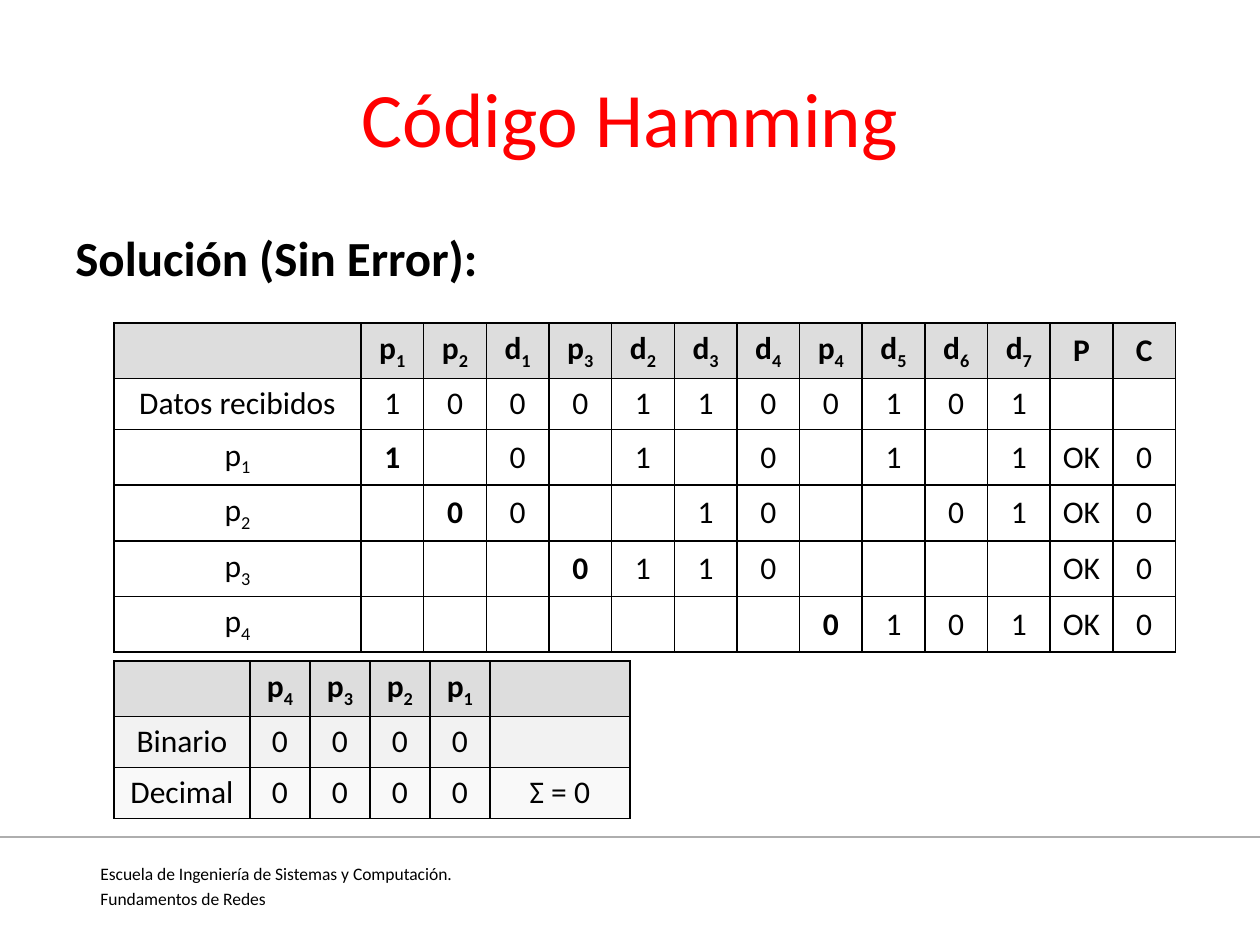
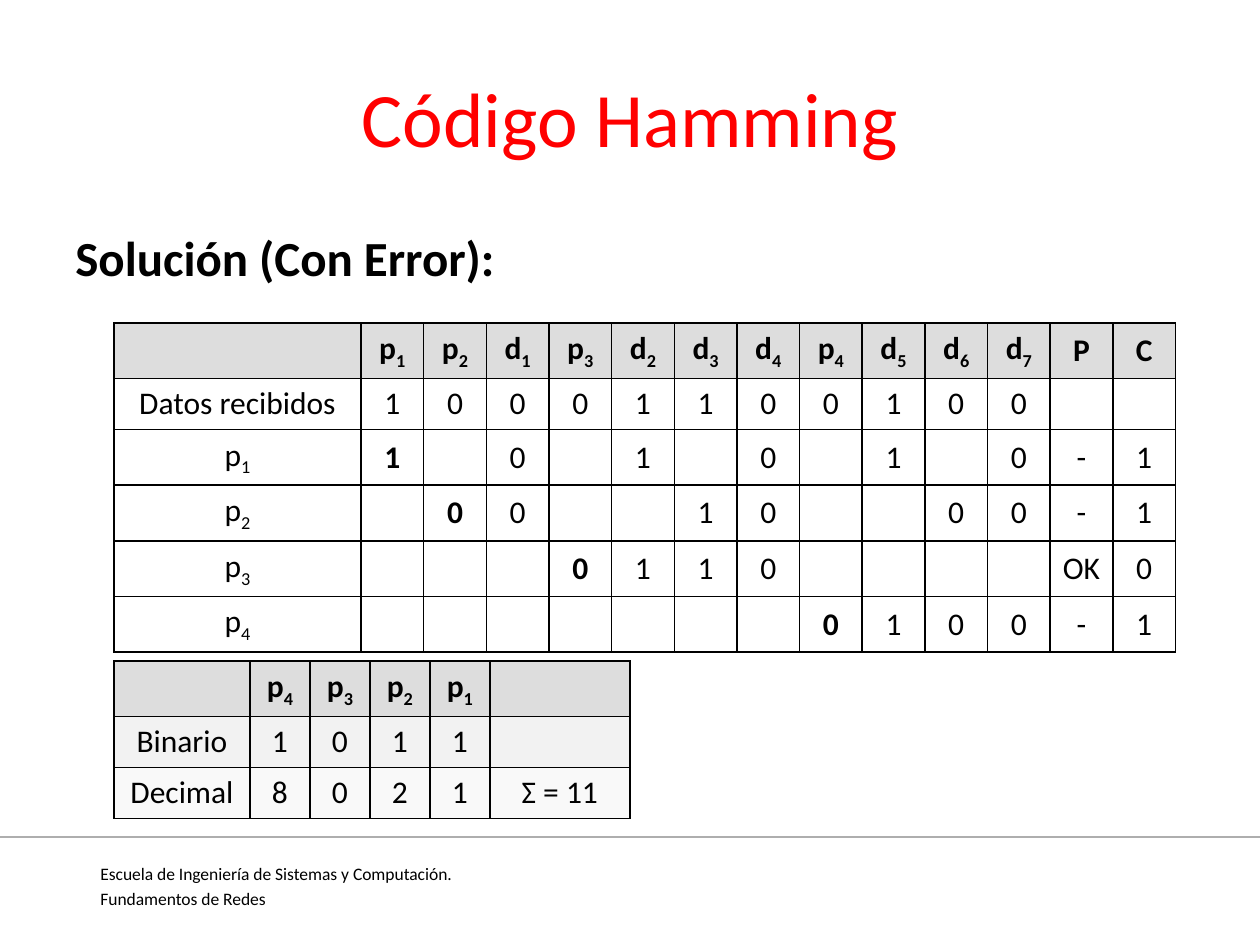
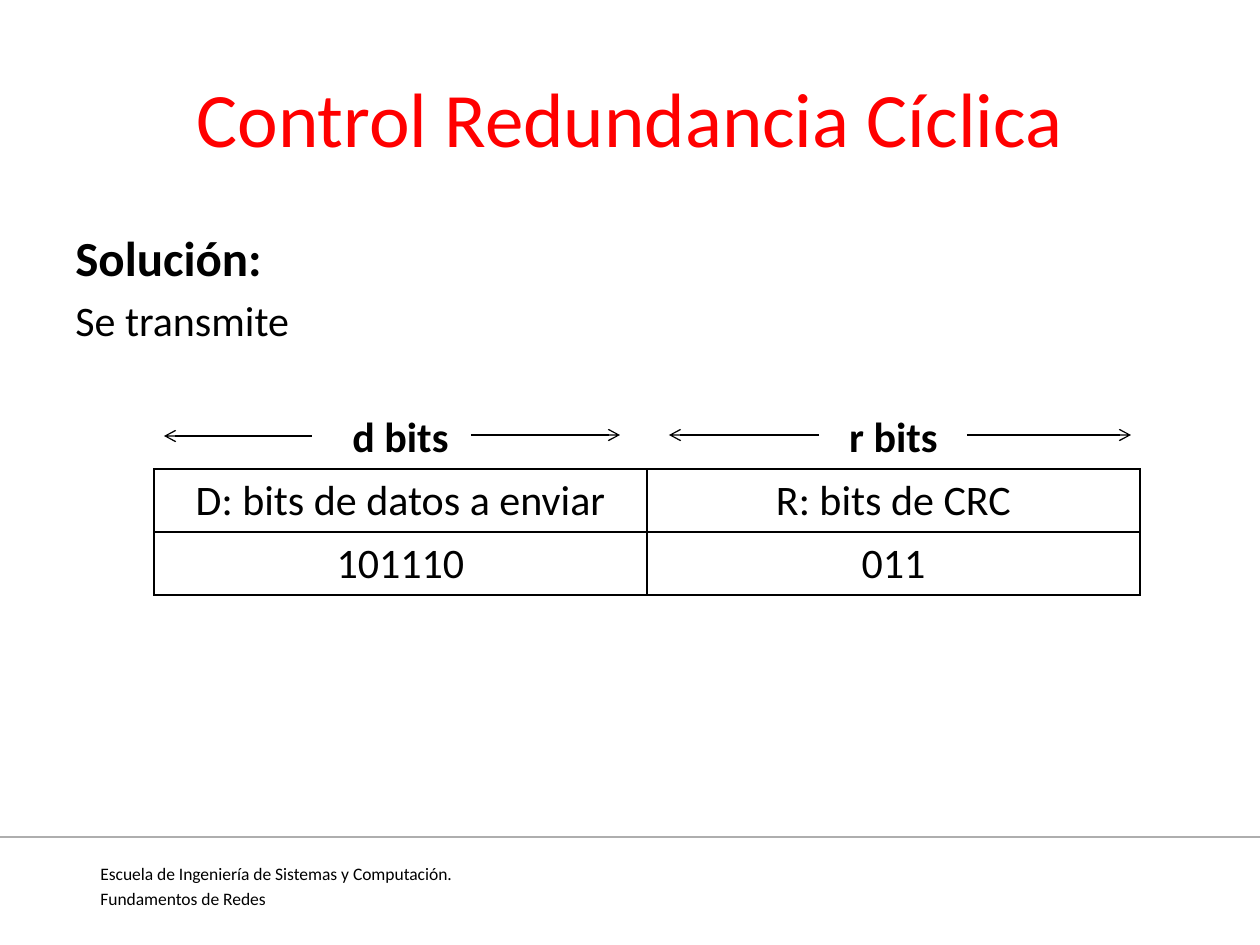
from lxml.etree import SubElement
from pptx import Presentation
from pptx.dml.color import RGBColor
from pptx.enum.shapes import MSO_CONNECTOR
from pptx.enum.text import MSO_ANCHOR, PP_ALIGN
from pptx.oxml.ns import qn
from pptx.util import Pt

FONT = "Calibri"
BLACK, WHITE, RED, RULE = "000000", "FFFFFF", "FF0000", "AEAEAE"
HEADER, BAND, LIGHT_BAND = "DDDDDD", "F2F2F2", "F9F9F9"
SIDES = ("lnL", "lnR", "lnT", "lnB")
FOOTER = ("Escuela de Ingeniería de Sistemas y Computación.", "Fundamentos de Redes")
BIT_NAMES = ("p_1", "p_2", "d_1", "p_3", "d_2", "d_3", "d_4", "p_4", "d_5", "d_6", "d_7")


def px(n):
    return round(n * 914400 / 126)


def rgb(color):
    return RGBColor.from_string(color)


def add_run(p, text, size, color=BLACK, bold=False, baseline=0):
    r = p.add_run()
    r.text = text
    font = r.font
    font.name, font.size, font.bold = FONT, Pt(size), bold
    font.color.rgb = rgb(color)
    if baseline:
        r._r.get_or_add_rPr().set("baseline", str(baseline * 1000))


def add_text(s, box, paragraphs, gap):
    tf = s.shapes.add_textbox(*map(px, box)).text_frame
    tf.word_wrap = True
    for i, (text, size, bold) in enumerate(paragraphs):
        p = tf.add_paragraph() if i else tf.paragraphs[0]
        p.alignment = PP_ALIGN.JUSTIFY
        p.space_before = Pt(gap if i else 0)
        add_run(p, text, size, bold=bold)


def add_line(s, x1, x2, y, color=BLACK, arrow=False):
    line = s.shapes.add_connector(MSO_CONNECTOR.STRAIGHT, px(x1), px(y), px(x2), px(y))
    line.line.color.rgb = rgb(color)
    line.line.width = Pt(0.75)
    if arrow:
        SubElement(line.line._get_or_add_ln(), qn("a:tailEnd"), type="arrow")
    SubElement(line._element.spPr, qn("a:effectLst"))


def set_borders(cell, colors):
    tcPr = cell._tc.get_or_add_tcPr()
    for side, color in zip(SIDES, colors):
        ln = SubElement(tcPr, qn(f"a:{side}"), w=str(Pt(1)))
        fill = SubElement(ln, qn("a:solidFill"))
        SubElement(fill, qn("a:srgbClr"), val=color)


def fill_cell(cell, text, size, bold, fill, borders):
    set_borders(cell, borders)
    if fill:
        cell.fill.solid()
        cell.fill.fore_color.rgb = rgb(fill)
    else:
        cell.fill.background()
    cell.vertical_anchor = MSO_ANCHOR.MIDDLE
    p = cell.text_frame.paragraphs[0]
    p.alignment = PP_ALIGN.CENTER
    base, _, index = text.partition("_")
    if base:
        add_run(p, base, size, bold=bold)
    if index:
        add_run(p, index, size, bold=bold, baseline=-25)


def add_grid(s, x, y, widths, row_height, rows, fills, size=18, bold_cells=(), open_top=False):
    frame = s.shapes.add_table(len(rows), len(widths), px(x), px(y),
                               px(sum(widths)), px(row_height * len(rows)))
    table = frame.table
    table.first_row = table.horz_banding = False
    for column, width in zip(table.columns, widths):
        column.width = px(width)
    for i, (row, fill) in enumerate(zip(rows, fills)):
        table.rows[i].height = px(row_height)
        borders = [WHITE] * 3 + [BLACK] if open_top and i == 0 else [BLACK] * 4
        for j, text in enumerate(row):
            bold = i == 0 or (i, j) in bold_cells
            fill_cell(table.cell(i, j), text, size, bold, fill, borders)


def add_slide(prs, title, paragraphs):
    s = prs.slides.add_slide(prs.slide_layouts[5])
    add_text(s, (88, 857, 1131, 49), [(text, 10, False) for text in FOOTER], 2)
    sp = s.shapes.title
    sp.left, sp.top, sp.width, sp.height = map(px, (63, 38, 1134, 157))
    tf = sp.text_frame
    tf.vertical_anchor = MSO_ANCHOR.MIDDLE
    p = tf.paragraphs[0]
    p.alignment = PP_ALIGN.CENTER
    add_run(p, title, 44, RED)
    add_text(s, (63, 221, 1134, 624), paragraphs, 5)
    add_line(s, 0, 1260, 837, RULE)
    return s


def add_hamming_slide(prs, heading, received):
    s = add_slide(prs, "Código Hamming", [(heading, 28, True)])
    rows = [["", *BIT_NAMES, "P", "C"], ["Datos recibidos", *received, "", ""]]
    checks = []
    for k in range(4):
        covered = [bit if i & 2 ** k else "" for i, bit in enumerate(received, 1)]
        check = covered.count("1") % 2
        checks.append(check)
        rows.append([f"p_{k + 1}", *covered, "-" if check else "OK", str(check)])
    parity_cells = {(k + 2, 2 ** k) for k in range(4)}
    add_grid(s, 114, 323, [247] + [815 / 13] * 13, 51, rows,
             [HEADER] + [None] * 5, bold_cells=parity_cells)

    weights = [check * 2 ** k for k, check in enumerate(checks)]
    syndrome = [
        ["", "p_4", "p_3", "p_2", "p_1", ""],
        ["Binario", *map(str, reversed(checks)), ""],
        ["Decimal", *map(str, reversed(weights)), f"Σ = {sum(weights)}"],
    ]
    add_grid(s, 114, 661, [136] + [60] * 4 + [140], 51, syndrome, [HEADER, BAND, LIGHT_BAND])


def add_crc_slide(prs):
    s = add_slide(prs, "Control Redundancia Cíclica",
                  [("Solución:", 28, True), ("Se transmite", 24, False)])
    rows = [["d bits", "r bits"],
            ["D: bits de datos a enviar", "R: bits de CRC"],
            ["101110", "011"]]
    add_grid(s, 154, 406, [493] * 2, 63, rows, [None] * 3, size=24, open_top=True)
    for x1, x2, y in ((312, 164, 436), (819, 669, 435), (967, 1131, 435), (471, 620, 435)):
        add_line(s, x1, x2, y, arrow=True)


def main():
    prs = Presentation()
    prs.slide_width, prs.slide_height = px(1260), px(945)
    add_hamming_slide(prs, "Solución (Sin Error):", "10001100101")
    add_hamming_slide(prs, "Solución (Con Error):", "10001100100")
    add_crc_slide(prs)
    prs.save("out.pptx")


if __name__ == "__main__":
    main()
